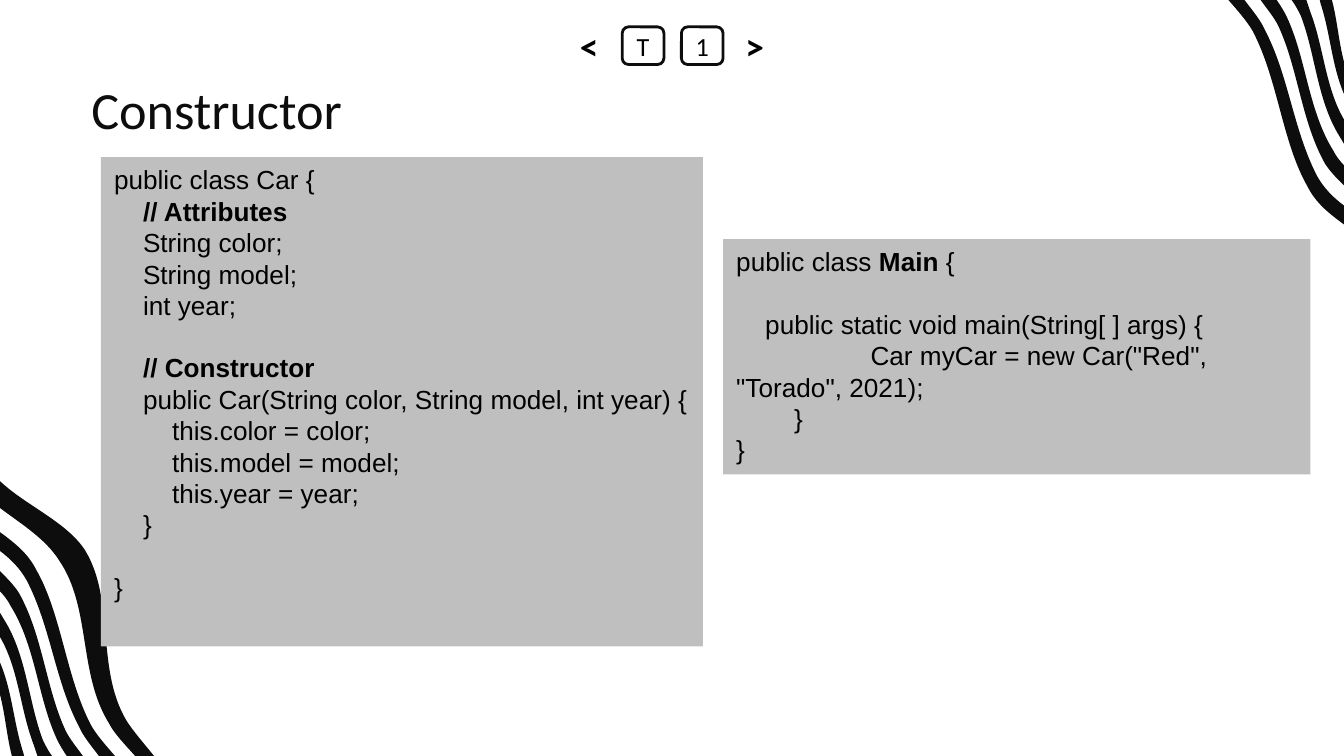
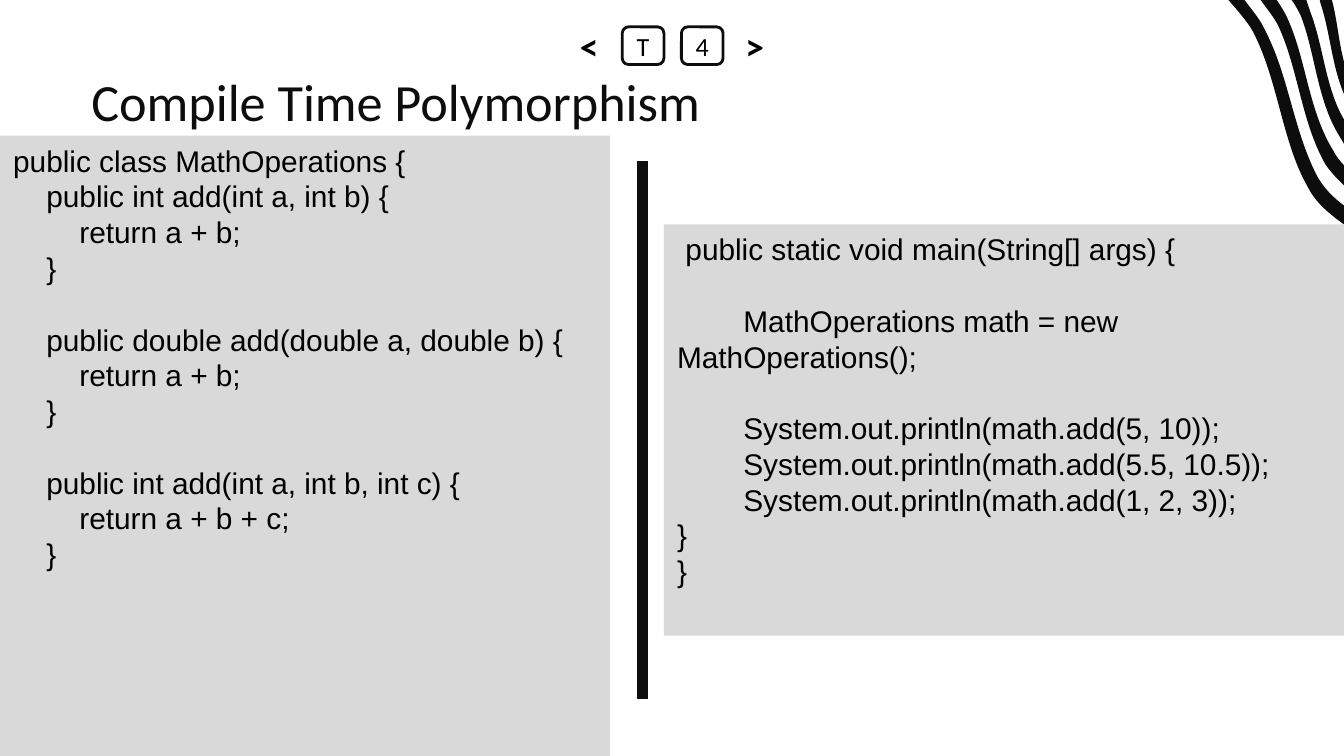
from pptx import Presentation
from pptx.dml.color import RGBColor
from pptx.enum.shapes import MSO_CONNECTOR, MSO_SHAPE
from pptx.enum.text import MSO_ANCHOR, MSO_AUTO_SIZE, PP_ALIGN
from pptx.oxml import parse_xml
from pptx.oxml.ns import nsdecls, qn
from pptx.util import Inches, Pt

RECTANGLE = MSO_SHAPE.RECTANGLE
ROUNDED = MSO_SHAPE.ROUNDED_RECTANGLE
STRAIGHT = MSO_CONNECTOR.STRAIGHT
TOP, MIDDLE = MSO_ANCHOR.TOP, MSO_ANCHOR.MIDDLE
LEFT, CENTER = PP_ALIGN.LEFT, PP_ALIGN.CENTER
NO_FIT = MSO_AUTO_SIZE.NONE

INK = RGBColor(0x0D, 0x0D, 0x0D)
BLACK = RGBColor(0, 0, 0)
WHITE = RGBColor(0xFF, 0xFF, 0xFF)
MID_GRAY = RGBColor(0xBF, 0xBF, 0xBF)
LIGHT_GRAY = RGBColor(0xD9, 0xD9, 0xD9)

HEADING_FONT, CODE_FONT = "Calibri", "Arial"
SLIDE_WIDTH, WAVE_BASE = 10, 5.63
TITLE_ONLY = 5
FIRST_WAVE_ID = 100
LINE_HEIGHT = 1.19
INDENT_EMS = 1.11

WAVES = [
    [(0, 3.58), (0, 3.78), (0.16, 3.9, 0.34, 4.01, 0.44, 4.17),
     (0.68, 4.52, 0.58, 5.01, 0.81, 5.38), (0.85, 5.46, 0.93, 5.54, 1.01, 5.63),
     (1.15, 5.63), (1.07, 5.53, 0.99, 5.44, 0.94, 5.36),
     (0.71, 4.97, 0.86, 4.46, 0.63, 4.09), (0.49, 3.88, 0.19, 3.76, 0, 3.58)],
    [(0, 3.96), (0, 4.1), (0.08, 4.16, 0.15, 4.23, 0.2, 4.32),
     (0.38, 4.67, 0.41, 5.07, 0.59, 5.41), (0.62, 5.48, 0.68, 5.55, 0.74, 5.63),
     (0.86, 5.63), (0.79, 5.55, 0.72, 5.47, 0.68, 5.4),
     (0.49, 5.04, 0.46, 4.57, 0.27, 4.24), (0.21, 4.12, 0.11, 4.04, 0, 3.96)],
    [(0, 4.25), (0, 4.4), (0.03, 4.43, 0.06, 4.47, 0.08, 4.51),
     (0.26, 4.8, 0.28, 5.17, 0.41, 5.47), (0.43, 5.52, 0.46, 5.57, 0.5, 5.63),
     (0.62, 5.63), (0.57, 5.56, 0.52, 5.5, 0.49, 5.44),
     (0.34, 5.12, 0.32, 4.73, 0.14, 4.41), (0.1, 4.35, 0.05, 4.3, 0, 4.25)],
    [(0, 4.56), (0, 4.74), (0.14, 4.98, 0.15, 5.28, 0.25, 5.54),
     (0.26, 5.57, 0.27, 5.6, 0.28, 5.63), (0.39, 5.63),
     (0.36, 5.59, 0.34, 5.55, 0.32, 5.51),
     (0.21, 5.22, 0.2, 4.88, 0.03, 4.61), (0.02, 4.59, 0.01, 4.58, 0, 4.56)],
    [(0, 4.93), (0, 5.17), (0.04, 5.32, 0.05, 5.48, 0.09, 5.63), (0.18, 5.63),
     (0.18, 5.61, 0.17, 5.6, 0.17, 5.59), (0.1, 5.37, 0.09, 5.14, 0, 4.93)],
]

CAR_CLASS = [
    (0, "public class Car {"),
    (1, "**// Attributes**"),
    (1, "String color;"),
    (1, "String model;"),
    (1, "int year;"),
    (0, ""),
    (1, "**// Constructor**"),
    (1, "public Car(String color, String model, int year) {"),
    (2, "this.color = color;"),
    (2, "this.model = model;"),
    (2, "this.year = year;"),
    (1, "}"),
    (0, ""),
    (0, "}"),
]
CAR_MAIN = [
    (0, "public class **Main** {"),
    (0, ""),
    (1, "public static void main(String[ ] args) {"),
    (4.63, 'Car myCar = new Car("Red", "Torado", 2021);'),
    (2, "}"),
    (0, "}"),
]
MATH_CLASS = [
    (0, "public class MathOperations {"),
    (1, "public int add(int a, int b) {"),
    (2, "return a + b;"),
    (1, "}"),
    (0, ""),
    (1, "public double add(double a, double b) {"),
    (2, "return a + b;"),
    (1, "}"),
    (0, ""),
    (1, "public int add(int a, int b, int c) {"),
    (2, "return a + b + c;"),
    (1, "}"),
]
MATH_MAIN = [
    (0.25, "public static void main(String[] args) {"),
    (0, ""),
    (2, "MathOperations math = new MathOperations();"),
    (0, ""),
    (2, "System.out.println(math.add(5, 10));"),
    (2, "System.out.println(math.add(5.5, 10.5));"),
    (2, "System.out.println(math.add(1, 2, 3));"),
    (0, "}"),
    (0, "}"),
]


def write(paragraph, text, *, size, font=HEADING_FONT, color=BLACK, bold=False, align=LEFT):
    """Fill a paragraph, switching weight at each double asterisk."""
    paragraph.alignment = align
    for index, part in enumerate(text.split("**")):
        if part:
            run = paragraph.add_run()
            run.text = part
            run.font.name, run.font.size = font, Pt(size)
            run.font.bold = bold != bool(index % 2)
            run.font.color.rgb = color


def half_turn(outline):
    """Turn an outline half around the centre of the slide."""
    return [tuple((WAVE_BASE if index % 2 else SLIDE_WIDTH) - value
                  for index, value in enumerate(step)) for step in outline]


class Deck:
    """Hold the presentation style and the current slide."""

    def __init__(self):
        """Set up a widescreen presentation."""
        self.presentation = Presentation()
        self.presentation.slide_width = Inches(SLIDE_WIDTH)
        self.presentation.slide_height = Inches(SLIDE_WIDTH) * 9 // 16
        self.layout = self.presentation.slide_layouts[TITLE_ONLY]
        self.slide = None

    def start(self, heading, top, number):
        """Add a slide with its title and navigation keys."""
        first = self.slide is None
        self.slide = self.presentation.slides.add_slide(self.layout)
        if first:
            outlines = WAVES + [half_turn(wave) for wave in WAVES[1:]]
            for shape_id, outline in enumerate(outlines, FIRST_WAVE_ID):
                self.layout_wave(outline, shape_id)
        self.title(heading, top)
        self.key(5.07, number)
        self.key(4.63, "T")
        self.key(4.23, "<", arrow=True)
        self.key(5.46, ">", arrow=True)

    def layout_wave(self, outline, shape_id):
        """Draw one wave with true curves and move it to the layout."""
        ends = [(Inches(step[-2]), Inches(step[-1])) for step in outline]
        builder = self.slide.shapes.build_freeform(*ends[0])
        builder.add_line_segments(ends[1:], close=True)
        wave = builder.convert_to_shape()
        self.paint(wave, INK)
        edges = list(wave._element.iter(qn("a:lnTo")))
        for edge, step in zip(edges, outline[1:]):
            if len(step) == 6:
                points = "".join(
                    f'<a:pt x="{Inches(x) - wave.left}" y="{Inches(y) - wave.top}"/>'
                    for x, y in zip(step[::2], step[1::2]))
                curve = parse_xml(
                    f"<a:cubicBezTo {nsdecls('a')}>{points}</a:cubicBezTo>")
                edge.getparent().replace(edge, curve)
        wave._element.nvSpPr.cNvPr.set("id", str(shape_id))
        self.layout.shapes._spTree.append(wave._element)

    def paint(self, shape, color):
        """Give a shape a flat fill with no line or shadow."""
        shape.shadow.inherit = False
        shape.fill.solid()
        shape.fill.fore_color.rgb = color
        shape.line.fill.background()

    def box(self, kind, left, top, width, height, color):
        """Add a flat preset shape."""
        shape = self.slide.shapes.add_shape(
            kind, Inches(left), Inches(top), Inches(width), Inches(height))
        self.paint(shape, color)
        return shape

    def frame(self, shape, anchor, across, down):
        """Set the anchor and margins of a text frame and return it."""
        frame = shape.text_frame
        frame.word_wrap, frame.auto_size = True, NO_FIT
        frame.vertical_anchor = anchor
        frame.margin_left = frame.margin_right = Inches(across)
        frame.margin_top = frame.margin_bottom = Inches(down)
        return frame

    def title(self, heading, top):
        """Place and format the title."""
        title = self.slide.shapes.title
        title.left, title.top = Inches(0.58), Inches(top)
        title.width, title.height = Inches(8.09), Inches(0.63)
        paragraph = self.frame(title, MIDDLE, 0.1, 0.1).paragraphs[0]
        paragraph.line_spacing = 0.8
        write(paragraph, heading, size=28, color=INK)

    def key(self, left, label, arrow=False):
        """Add a navigation key, or an arrow without an outline."""
        key = self.box(ROUNDED, left, 0.2, 0.31, 0.28, WHITE)
        if not arrow:
            key.line.color.rgb, key.line.width = INK, Pt(1.5)
        paragraph = self.frame(key, MIDDLE, 0, 0).paragraphs[0]
        write(paragraph, label, size=20 if arrow else 14, bold=arrow, align=CENTER)

    def code(self, lines, left, top, width, height, color, size):
        """Add a code panel whose empty lines become spacing."""
        panel = self.box(RECTANGLE, left, top, width, height, color)
        frame = self.frame(panel, TOP, 0.1, 0.05)
        paragraph, gap = frame.paragraphs[0], 0
        for index, (depth, text) in enumerate(lines):
            if not text:
                gap = size * LINE_HEIGHT
                continue
            if index:
                paragraph = frame.add_paragraph()
            paragraph.space_before = Pt(gap)
            write(paragraph, text, size=size, font=CODE_FONT)
            properties = paragraph._p.get_or_add_pPr()
            properties.set("marL", "0")
            properties.set("indent", str(Pt(depth * size * INDENT_EMS)))
            gap = 0

    def divider(self, x, top, bottom):
        """Draw a thick vertical line."""
        divider = self.slide.shapes.add_connector(
            STRAIGHT, Inches(x), Inches(top), Inches(x), Inches(bottom))
        divider.line.color.rgb, divider.line.width = INK, Pt(6)
        divider._element.spPr.append(parse_xml(f"<a:effectLst {nsdecls('a')}/>"))


def main():
    """Build both slides and save them."""
    deck = Deck()
    deck.start("Constructor", 0.54, "1")
    deck.code(CAR_CLASS, 0.75, 1.17, 4.48, 3.64, MID_GRAY, 14)
    deck.code(CAR_MAIN, 5.38, 1.78, 4.37, 1.75, MID_GRAY, 14)

    deck.start("Compile Time Polymorphism", 0.48, "4")
    deck.code(MATH_CLASS, 0, 1.01, 4.54, 4.68, LIGHT_GRAY, 16)
    deck.code(MATH_MAIN, 4.94, 1.67, 5.06, 3.06, LIGHT_GRAY, 16)
    deck.divider(4.78, 1.2, 5.2)
    deck.presentation.save("out.pptx")


if __name__ == "__main__":
    main()
